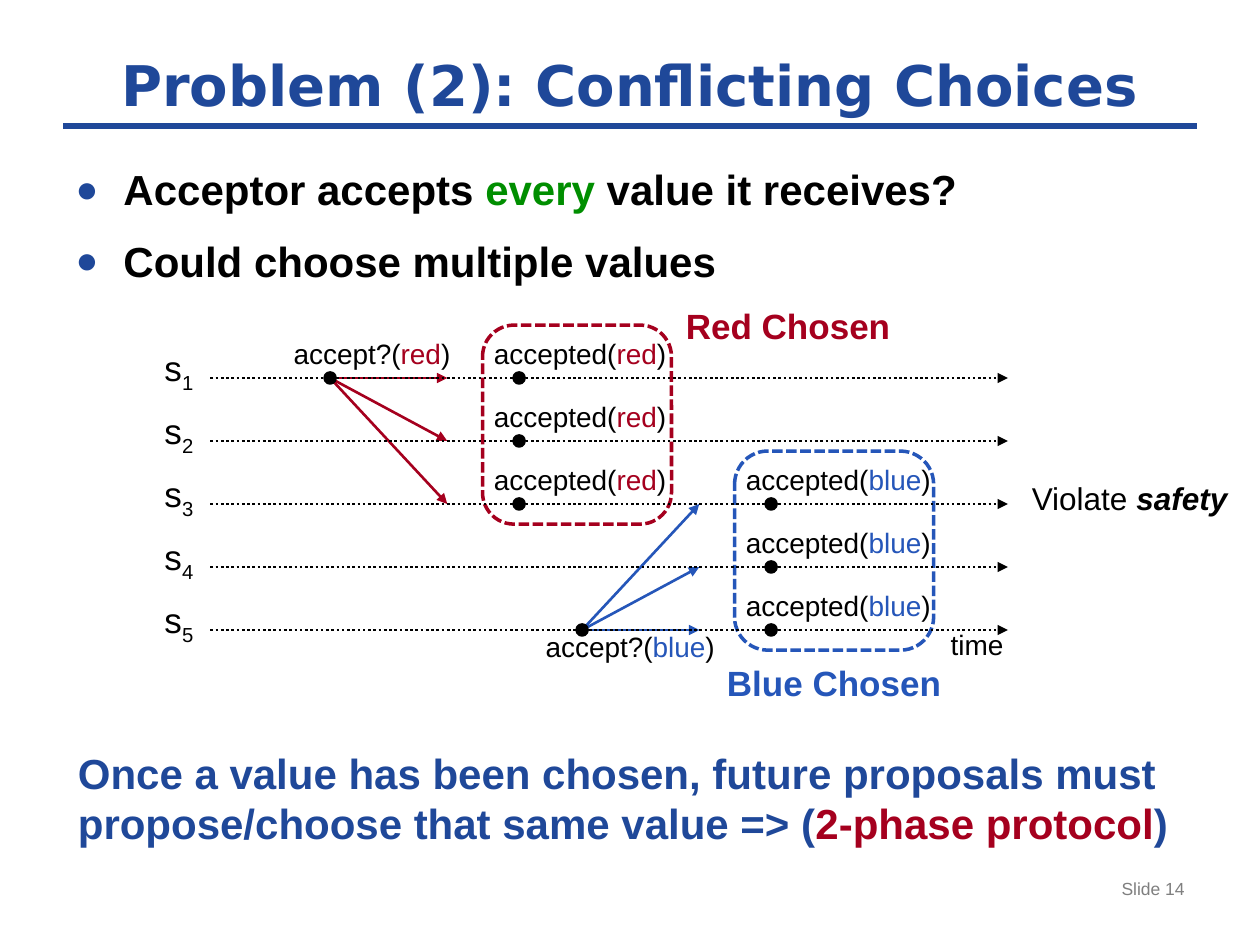
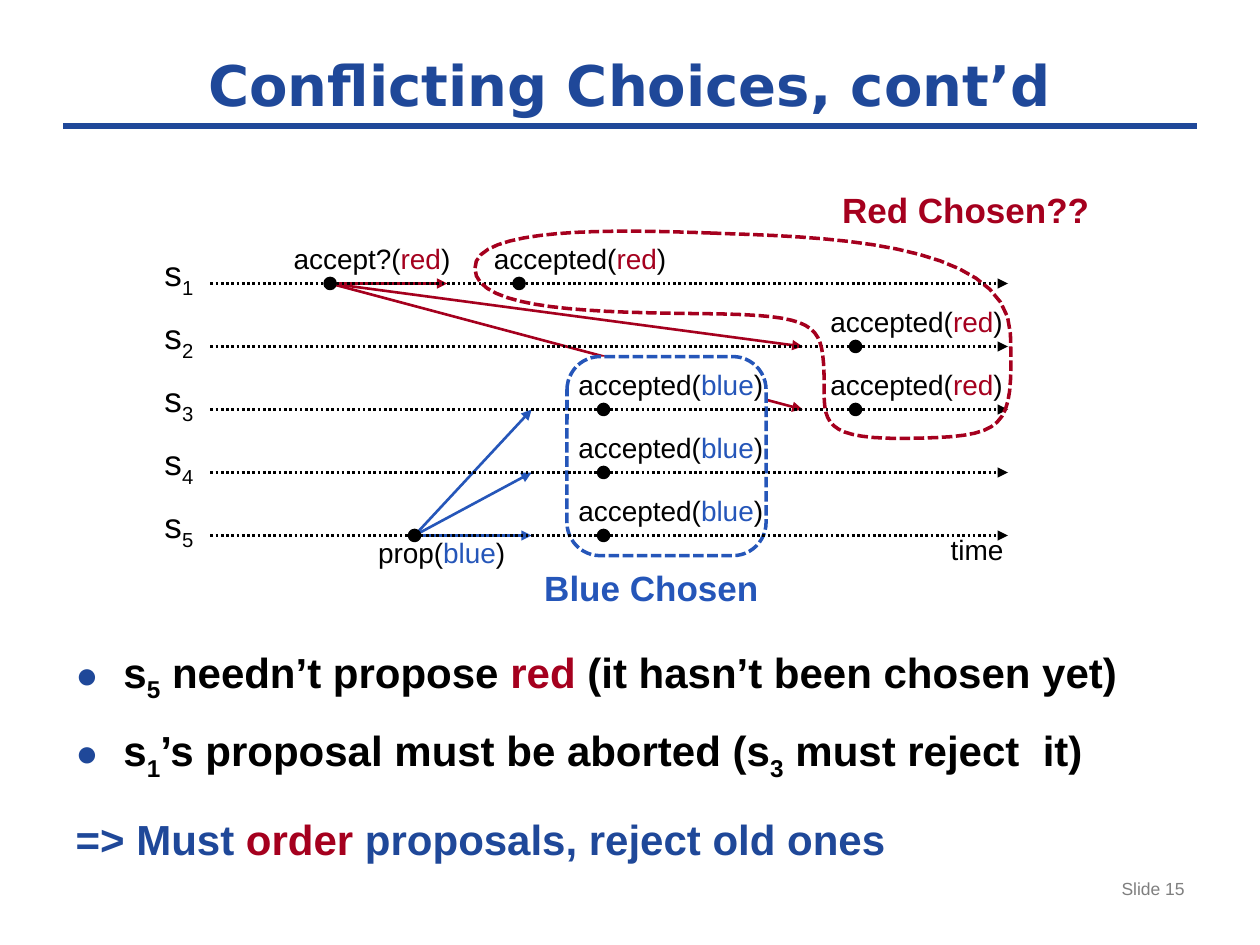
from dataclasses import dataclass
from typing import NamedTuple

from lxml import etree
from pptx import Presentation
from pptx.dml.color import RGBColor
from pptx.enum.dml import MSO_LINE
from pptx.enum.shapes import MSO_CONNECTOR, MSO_SHAPE
from pptx.enum.text import MSO_ANCHOR, MSO_AUTO_SIZE, PP_ALIGN
from pptx.oxml.ns import qn
from pptx.util import Inches, Pt

NAVY = RGBColor(0x1F, 0x48, 0x99)
BLUE = RGBColor(0x25, 0x56, 0xB9)
RED = RGBColor(0xA5, 0x00, 0x1E)
GREEN = RGBColor(0x00, 0x8E, 0x00)
GRAY = RGBColor(0x7F, 0x7F, 0x7F)
BLACK = RGBColor(0, 0, 0)
WHITE = RGBColor(0xFF, 0xFF, 0xFF)

TITLE_FONT, TEXT_FONT = "DejaVu Sans", "Arial"
STRAIGHT = MSO_CONNECTOR.STRAIGHT
DOTTED, DASHED = MSO_LINE.ROUND_DOT, MSO_LINE.SQUARE_DOT
LEFT, CENTER, RIGHT = PP_ALIGN.LEFT, PP_ALIGN.CENTER, PP_ALIGN.RIGHT

# Timeline geometry, in inches
SERVERS = 5
ROW_GAP = 0.5
TIME_START, TIME_END = 1.67, 8
DOT = 0.08
CURVE_STEPS = 16


class Span(NamedTuple):
    text: str
    color: RGBColor = BLACK
    subscript: bool = False
    emphasis: bool = False


class Item(NamedTuple):
    spans: list[Span]
    bullet: bool = True
    space_before: float = 12


class Choice(NamedTuple):
    name: str
    color: RGBColor


class Caption(NamedTuple):
    text: str
    color: RGBColor
    left: float
    top: float
    width: float


@dataclass
class Proposal:
    verb: str
    choice: Choice
    server: int
    x: float
    targets: list[tuple[int, float]]  # server, arrow tip x
    label_below: bool = False


@dataclass
class Acceptance:
    choice: Choice
    x: float
    servers: list[int]


@dataclass
class Quorum:
    color: RGBColor
    x: float  # centre of its dots
    first_server: int
    width: float
    filled: bool = False


@dataclass
class Timeline:
    top: float  # height of the first server's line
    proposals: list[Proposal]
    acceptances: list[Acceptance]
    quorums: list[Quorum]
    captions: list[Caption]

    def y(self, server: int) -> float:
        return self.top + (server - 1) * ROW_GAP


VALUE_RED, VALUE_BLUE = Choice("red", RED), Choice("blue", BLUE)


def fill_paragraph(paragraph, spans: list[Span], size: float, bold=False,
                   align=LEFT, font=TEXT_FONT) -> None:
    paragraph.alignment = align
    paragraph.font.name = font
    paragraph.font.size = Pt(size)
    paragraph.font.bold = bold
    for span in spans:
        run = paragraph.add_run()
        run.text = span.text
        run.font.color.rgb = span.color
        if span.subscript:
            run._r.get_or_add_rPr().set("baseline", "-25000")
        if span.emphasis:
            run.font.bold = run.font.italic = True


def add_text(slide, left: float, top: float, width: float, height: float,
             lines: list[list[Span]], size: float, bold=False, align=LEFT,
             padded=False) -> None:
    box = slide.shapes.add_textbox(Inches(left), Inches(top), Inches(width), Inches(height))
    frame = box.text_frame
    frame.word_wrap = True
    if not padded:
        frame.margin_left = frame.margin_top = frame.margin_right = frame.margin_bottom = 0
    for number, spans in enumerate(lines):
        paragraph = frame.add_paragraph() if number else frame.paragraphs[0]
        fill_paragraph(paragraph, spans, size, bold, align)


def add_line(slide, start: tuple[float, float], end: tuple[float, float],
             color: RGBColor, width=1.5, dash=None, arrow=True) -> None:
    line = slide.shapes.add_connector(STRAIGHT, *map(Inches, start + end))
    line.line.color.rgb = color
    line.line.width = Pt(width)
    if dash:
        line.line.dash_style = dash
    if arrow:
        etree.SubElement(line.line._get_or_add_ln(), qn("a:tailEnd"), type="triangle")
    etree.SubElement(line._element.spPr, qn("a:effectLst"))


def style_outline(shape, color: RGBColor, fill=None, dash=None) -> None:
    shape.shadow.inherit = False
    if fill is None:
        shape.fill.background()
    else:
        shape.fill.solid()
        shape.fill.fore_color.rgb = fill
    shape.line.color.rgb = color
    shape.line.width = Pt(2)
    if dash:
        shape.line.dash_style = dash


def add_dot(slide, x: float, y: float) -> None:
    dot = slide.shapes.add_shape(MSO_SHAPE.OVAL, Inches(x - DOT / 2), Inches(y - DOT / 2),
                                 Inches(DOT), Inches(DOT))
    style_outline(dot, BLACK, fill=BLACK)


def add_call(slide, verb: str, choice: Choice, left: float, top: float) -> None:
    spans = [Span(verb + "("), Span(choice.name, choice.color), Span(")")]
    add_text(slide, left, top, 1.92, 0.27, [spans], 16)


def bezier(start, control_1, control_2, end) -> list[tuple[float, float]]:
    points = []
    for step in range(1, CURVE_STEPS + 1):
        t = step / CURVE_STEPS
        weights = ((1 - t) ** 3, 3 * t * (1 - t) ** 2, 3 * t * t * (1 - t), t ** 3)
        points.append(tuple(sum(w * p[axis] for w, p in
                                zip(weights, (start, control_1, control_2, end)))
                            for axis in (0, 1)))
    return points


def add_curved_outline(slide, start, curves, color: RGBColor) -> None:
    points = [start]
    for curve in curves:
        points += bezier(points[-1], *curve)
    builder = slide.shapes.build_freeform(*map(Inches, start), scale=1.0)
    builder.add_line_segments([(Inches(x), Inches(y)) for x, y in points[1:]], close=True)
    style_outline(builder.convert_to_shape(), color, dash=DASHED)


def add_timeline(slide, timeline: Timeline) -> None:
    # Proposal arrows lie behind the quorum boxes
    for proposal in timeline.proposals:
        start = (proposal.x, timeline.y(proposal.server))
        for server, tip in proposal.targets:
            add_line(slide, start, (tip, timeline.y(server)), proposal.choice.color)
    for quorum in timeline.quorums:
        box = slide.shapes.add_shape(
            MSO_SHAPE.ROUNDED_RECTANGLE, Inches(quorum.x - 0.29),
            Inches(timeline.y(quorum.first_server) - 0.42), Inches(quorum.width), Inches(1.58))
        style_outline(box, quorum.color, WHITE if quorum.filled else None, DASHED)

    # Server lines
    for server in range(1, SERVERS + 1):
        y = timeline.y(server)
        add_line(slide, (TIME_START, y), (TIME_END, y), BLACK, dash=DOTTED)
        add_text(slide, 1.17, y - 0.25, 0.5, 0.34,
                 [[Span("s"), Span(str(server), subscript=True)]], 20, align=CENTER)
    add_text(slide, 7.42, timeline.y(SERVERS) - 0.02, 0.67, 0.27, [[Span("time")]], 16,
             align=CENTER)

    # Events and captions
    for proposal in timeline.proposals:
        y = timeline.y(proposal.server)
        add_dot(slide, proposal.x, y)
        add_call(slide, proposal.verb, proposal.choice, proposal.x - 0.29,
                 y if proposal.label_below else y - 0.33)
    for acceptance in timeline.acceptances:
        for server in acceptance.servers:
            y = timeline.y(server)
            add_dot(slide, acceptance.x, y)
            add_call(slide, "accepted", acceptance.choice, acceptance.x - 0.2, y - 0.33)
    for text, color, left, top, width in timeline.captions:
        add_text(slide, left, top, width, 0.34, [[Span(text, color)]], 20, True, CENTER)


def add_bullet(paragraph) -> None:
    properties = paragraph._p.get_or_add_pPr()
    properties.set("marL", str(Inches(0.38)))
    properties.set("indent", str(-Inches(0.38)))
    color = etree.SubElement(properties, qn("a:buClr"))
    etree.SubElement(color, qn("a:srgbClr"), val=str(NAVY))
    etree.SubElement(properties, qn("a:buSzPct"), val="90000")
    etree.SubElement(properties, qn("a:buFont"), typeface=TEXT_FONT)
    etree.SubElement(properties, qn("a:buChar"), char="●")


def remove_bullet(paragraph) -> None:
    properties = paragraph._p.get_or_add_pPr()
    properties.set("marL", "0")
    properties.set("indent", "0")
    etree.SubElement(properties, qn("a:buNone"))


def place(shape, left: float, top: float, width: float, height: float) -> None:
    shape.left, shape.top = Inches(left), Inches(top)
    shape.width, shape.height = Inches(width), Inches(height)
    shape.text_frame.auto_size = MSO_AUTO_SIZE.NONE


def start_slide(deck, title: str, number: int, items: list[Item], body_top: float,
                body_height: float):
    slide = deck.slides.add_slide(deck.slide_layouts[1])
    heading, body = slide.shapes.title, slide.placeholders[1]
    place(heading, 0.5, 0.33, 9, 0.67)
    heading.text_frame.vertical_anchor = MSO_ANCHOR.MIDDLE
    fill_paragraph(heading.text_frame.paragraphs[0], [Span(title, NAVY)], 32, True, CENTER,
                   TITLE_FONT)
    add_line(slide, (0.5, 1), (9.5, 1), NAVY, width=4, arrow=False)

    place(body, 0.5, body_top, 9, body_height)
    for index, item in enumerate(items):
        paragraph = body.text_frame.add_paragraph() if index else body.text_frame.paragraphs[0]
        (add_bullet if item.bullet else remove_bullet)(paragraph)
        paragraph.space_before = Pt(item.space_before if index else 0)
        fill_paragraph(paragraph, item.spans, 24, True)

    add_text(slide, 7.17, 6.92, 2.33, 0.43, [[Span(f"Slide {number}", GRAY)]], 10,
             align=RIGHT, padded=True)
    return slide


def add_conflict_slide(deck) -> None:
    slide = start_slide(deck, "Problem (2): Conflicting Choices", 14, [
        Item([Span("Acceptor accepts "), Span("every ", GREEN), Span("value it receives?")]),
        Item([Span("Could choose multiple values")])], 1.25, 4.5)
    add_timeline(slide, Timeline(
        3,
        [Proposal("accept?", VALUE_RED, 1, 2.62, [(s, 3.55) for s in (1, 2, 3)]),
         Proposal("accept?", VALUE_BLUE, 5, 4.62, [(s, 5.55) for s in (3, 4, 5)], True)],
        [Acceptance(VALUE_RED, 4.12, [1, 2, 3]), Acceptance(VALUE_BLUE, 6.12, [3, 4, 5])],
        [Quorum(RED, 4.12, 1, 1.5), Quorum(BLUE, 6.12, 3, 1.58)],
        [Caption("Red Chosen", RED, 5.42, 2.42, 1.67),
         Caption("Blue Chosen", BLUE, 5.58, 5.25, 2.08)]))
    add_text(slide, 8.05, 3.75, 1.83, 0.4,
             [[Span("Violate "), Span("safety", emphasis=True)]], 18, align=CENTER, padded=True)
    add_text(slide, 0.52, 5.88, 9, 1.21, [
        [Span("Once a value has been chosen, future proposals must", NAVY)],
        [Span("propose/choose that same value => (", NAVY), Span("2-phase protocol", RED),
         Span(")", NAVY)]], 24, True, padded=True)


def add_continued_slide(deck) -> None:
    slide = start_slide(deck, "Conflicting Choices, cont’d", 15, [
        Item([Span("s"), Span("5", subscript=True), Span(" needn’t propose "),
              Span("red", RED), Span(" (it hasn’t been chosen yet)")]),
        Item([Span("s"), Span("1", subscript=True), Span("’s proposal must be aborted (s"),
              Span("3", subscript=True), Span(" must reject  it)")]),
        Item([Span("=> Must ", NAVY), Span("order", RED),
              Span(" proposals, reject old ones", NAVY)], False, 18)], 5.08, 1.83)
    add_timeline(slide, Timeline(
        2.25,
        [Proposal("accept?", VALUE_RED, 1, 2.62, [(1, 3.55), (2, 6.37), (3, 6.37)]),
         Proposal("prop", VALUE_BLUE, 5, 3.29, [(s, 4.22) for s in (3, 4, 5)], True)],
        [Acceptance(VALUE_RED, 4.12, [1]), Acceptance(VALUE_RED, 6.79, [2, 3]),
         Acceptance(VALUE_BLUE, 4.79, [3, 4, 5])],
        [Quorum(BLUE, 4.79, 3, 1.58, filled=True)],
        [Caption("Red Chosen??", RED, 6.58, 1.5, 2.17),
         Caption("Blue Chosen", BLUE, 4.17, 4.5, 2)]))
    # Late red quorum, winding around the blue one
    add_curved_outline(slide, (5.65, 1.85), [
        ((4.88, 1.82), (3.76, 1.8), (3.77, 2.13)),
        ((3.77, 2.47), (4.76, 2.48), (5.62, 2.49)),
        ((6.48, 2.5), (6.52, 2.58), (6.54, 2.94)),
        ((6.55, 3.31), (6.46, 3.48), (7.15, 3.48)),
        ((8.01, 3.47), (8.04, 3.42), (8.02, 2.65)),
        ((7.99, 1.89), (6.43, 1.88), (5.65, 1.85))], RED)


def main() -> None:
    deck = Presentation()
    deck.slide_width, deck.slide_height = Inches(10), Inches(7.5)
    add_conflict_slide(deck)
    add_continued_slide(deck)
    deck.save("out.pptx")


if __name__ == "__main__":
    main()
